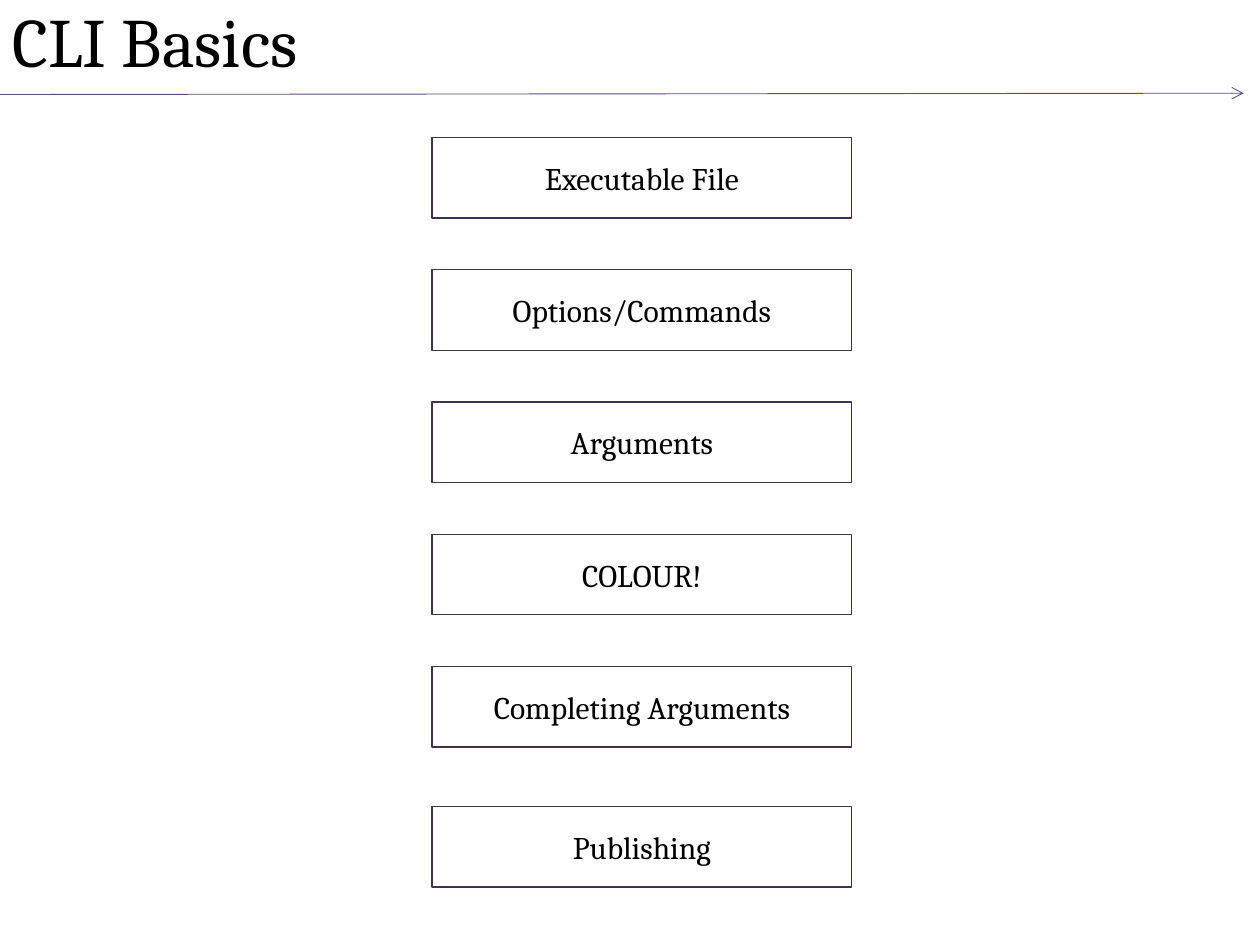
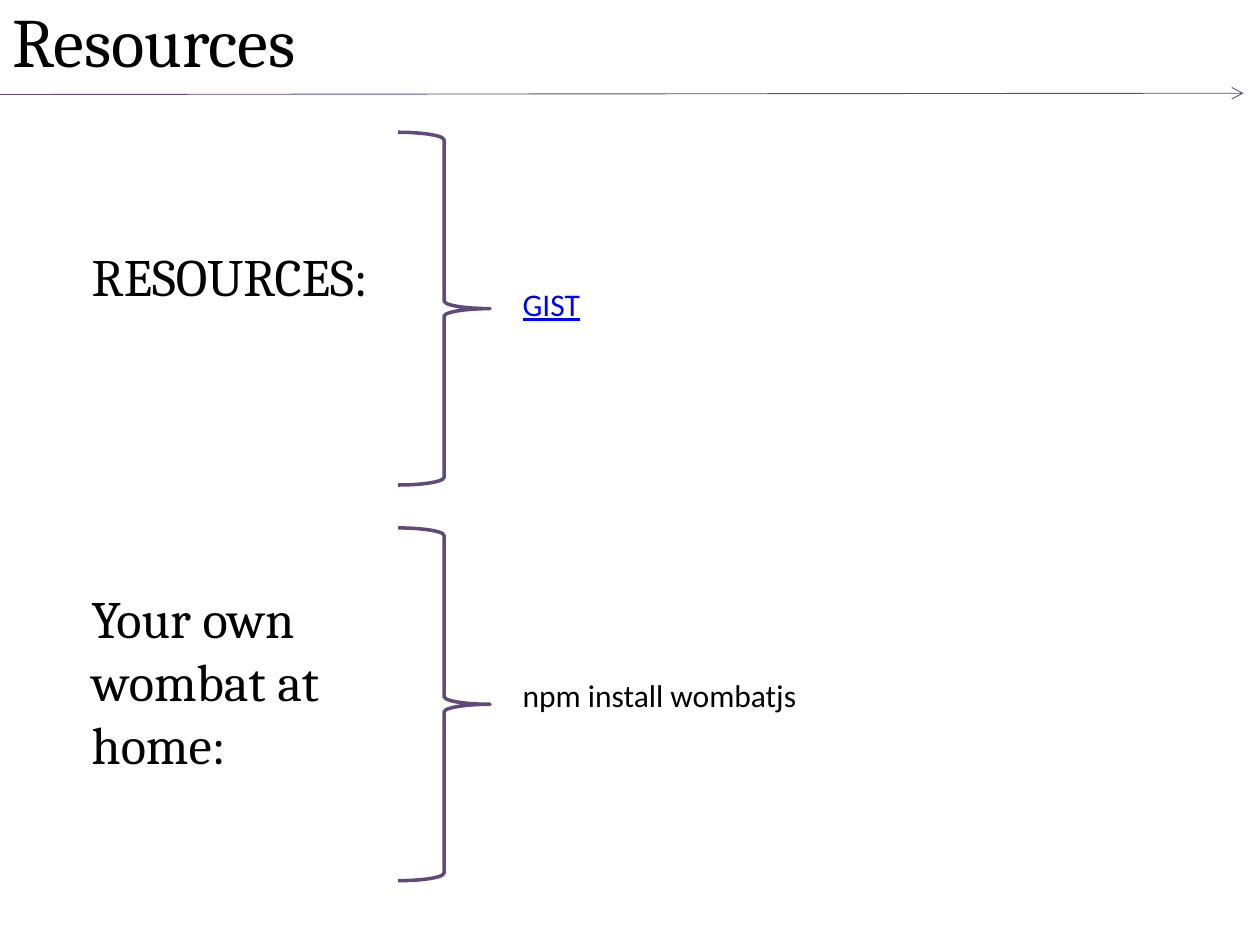
from pptx import Presentation
from pptx.dml.color import RGBColor
from pptx.enum.shapes import MSO_CONNECTOR, MSO_SHAPE
from pptx.enum.text import MSO_ANCHOR, PP_ALIGN
from pptx.oxml.ns import qn
from pptx.util import Inches, Pt
from lxml import etree

BLACK = RGBColor(0x00, 0x00, 0x00)
BLUE = RGBColor(0x00, 0x00, 0xFF)
PURPLE = RGBColor(0x60, 0x4A, 0x7B)
DARK = RGBColor(0x40, 0x31, 0x52)

# Text formats
TITLE = {"name": "Cambria", "size": Pt(39.6)}
HEAD = {"name": "Cambria", "size": Pt(30)}
LABEL = {"name": "Cambria", "size": Pt(18)}
BODY = {"name": "Calibri", "size": Pt(18)}
LINK = {**BODY, "underline": True, "color": BLUE}


def write(shape, text, form, anchor=MSO_ANCHOR.TOP, align=PP_ALIGN.LEFT):
    frame = shape.text_frame
    frame.word_wrap = True
    frame.vertical_anchor = anchor
    para = frame.paragraphs[0]
    para.alignment = align
    run = para.add_run()
    run.text = text
    run.font.color.rgb = form.get("color", BLACK)
    for key, value in form.items():
        if key != "color":
            setattr(run.font, key, value)


def draw(slide, kind, area, color, width):
    shape = slide.shapes.add_shape(kind, *map(Inches, area))
    shape.shadow.inherit = False
    shape.fill.background()
    shape.line.color.rgb = color
    shape.line.width = Pt(width)
    return shape


deck = Presentation()
deck.slide_width, deck.slide_height = Inches(10), Inches(7.5)

# Title and arrow on every slide
slides = []
for title in ("CLI Basics", "Resources"):
    slide = deck.slides.add_slide(deck.slide_layouts[6])
    arrow = slide.shapes.add_connector(
        MSO_CONNECTOR.STRAIGHT, Inches(0), Inches(0.75), Inches(9.87), Inches(0.74))
    arrow.line.color.rgb = PURPLE
    arrow.line.width = Pt(0.5)
    etree.SubElement(arrow.line._get_or_add_ln(), qn("a:tailEnd"), type="arrow")
    etree.SubElement(arrow._element.spPr, qn("a:effectLst"))
    box = slide.shapes.add_textbox(0, 0, Inches(9), Inches(0.63))
    write(box, title, TITLE, MSO_ANCHOR.MIDDLE)
    slides.append(slide)
basics, links = slides

# Column of topics; the last sits a little lower
topics = ["Executable File", "Options/Commands", "Arguments", "COLOUR!",
          "Completing Arguments"]
tops = [1.09 + 1.05 * i for i in range(len(topics))] + [6.4]
for top, topic in zip(tops, topics + ["Publishing"]):
    box = draw(basics, MSO_SHAPE.RECTANGLE, (3.43, top, 3.33, 0.64), DARK, 0.75)
    write(box, topic, LABEL, MSO_ANCHOR.MIDDLE, PP_ALIGN.CENTER)

# Resource groups: heading, brace, entry
groups = [
    (1.05, "RESOURCES:", 1.89, 0.61, "GIST", 2.21, LINK),
    (4.19, "Your own wombat at home:", 4.6, 1.62, "npm install wombatjs", 5.32, BODY),
]
for top, head, high, tall, entry, low, form in groups:
    box = links.shapes.add_textbox(Inches(0.63), Inches(high), Inches(2.54), Inches(tall))
    write(box, head, HEAD)
    draw(links, MSO_SHAPE.RIGHT_BRACE, (3.16, top, 0.73, 2.8), PURPLE, 2)
    box = links.shapes.add_textbox(Inches(4.05), Inches(low), Inches(5.13), Inches(0.4))
    write(box, entry, form)

deck.save("out.pptx")
